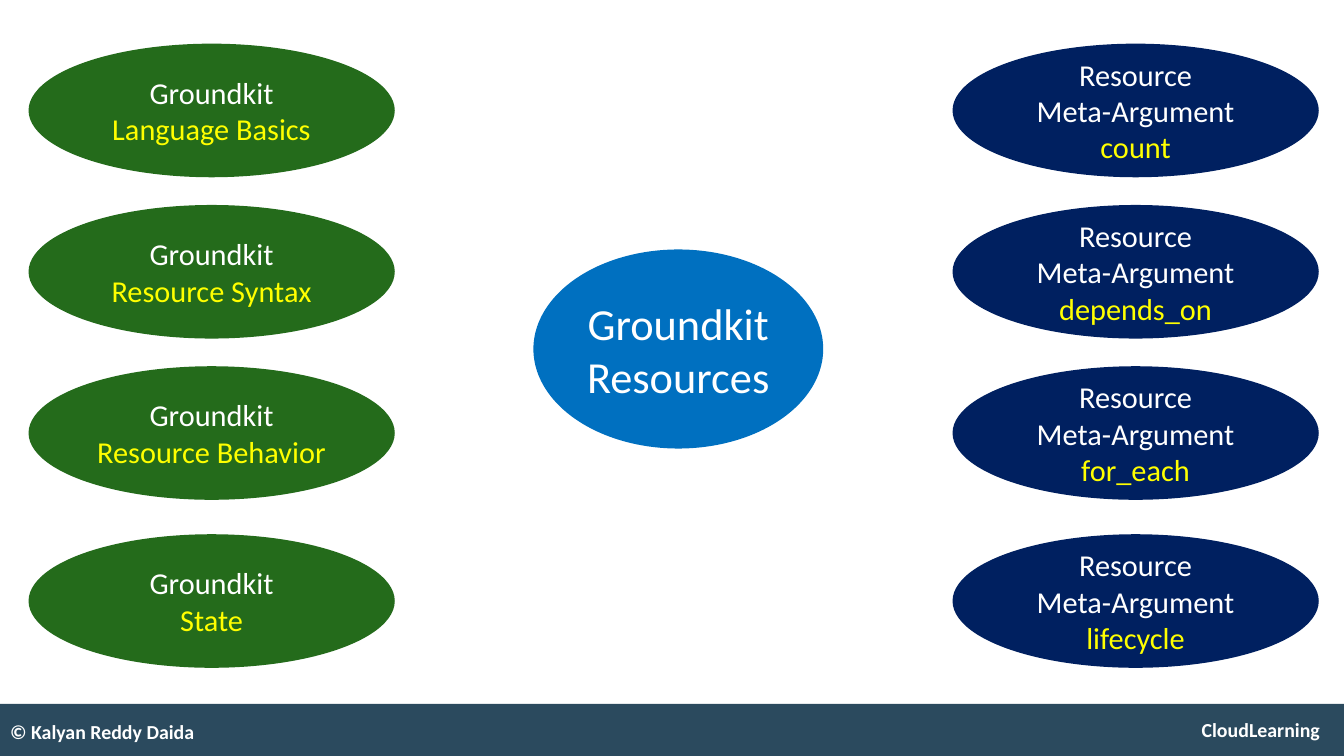
from dataclasses import dataclass

from pptx import Presentation
from pptx.dml.color import RGBColor
from pptx.enum.shapes import MSO_SHAPE
from pptx.enum.text import MSO_ANCHOR, PP_ALIGN
from pptx.util import Inches, Pt

OVAL, RECT = MSO_SHAPE.OVAL, MSO_SHAPE.RECTANGLE
MIDDLE = MSO_ANCHOR.MIDDLE
LEFT, CENTER = PP_ALIGN.LEFT, PP_ALIGN.CENTER

FONT = "Calibri"
WHITE, YELLOW = "FFFFFF", "FFFF00"
BLUE, GREEN, NAVY, SLATE = "0070C0", "246B1B", "002060", "2B4A5E"

TOOL = "Groundkit"
TOPIC_TOPS = (0.52, 2.44, 4.36, 6.36)
TOPIC_WIDTH, TOPIC_HEIGHT = 4.36, 1.59


@dataclass
class TopicColumn:
    left: float
    fill: str
    heading: list[str]
    topics: list[str]


COLUMNS = [
    TopicColumn(0.34, GREEN, [TOOL],
                ["Language Basics", "Resource Syntax", "Resource Behavior", "State"]),
    TopicColumn(11.34, NAVY, ["Resource", "Meta-Argument"],
                ["count", "depends_on", "for_each", "lifecycle"]),
]


def rgb(value: str) -> RGBColor:
    return RGBColor.from_string(value)


def add_filled(slide, kind, left: float, top: float, width: float, height: float, fill: str):
    sp = slide.shapes.add_shape(kind, Inches(left), Inches(top), Inches(width), Inches(height))
    sp.shadow.inherit = False
    sp.fill.solid()
    sp.fill.fore_color.rgb = rgb(fill)
    sp.line.fill.background()
    return sp


def write(tf, lines: list[str], *, size: float, bold: bool = False,
          align=CENTER, last_color: str = WHITE) -> None:
    """Write one paragraph per line, the last one in last_color."""
    tf.word_wrap = True
    tf.vertical_anchor = MIDDLE
    for i, line in enumerate(lines):
        p = tf.add_paragraph() if i else tf.paragraphs[0]
        p.alignment = align
        r = p.add_run()
        r.text = line
        r.font.name = FONT
        r.font.size = Pt(size)
        r.font.bold = bold
        r.font.color.rgb = rgb(last_color if i == len(lines) - 1 else WHITE)


def add_footer_text(slide, text: str, left: float, top: float, width: float, align) -> None:
    sp = slide.shapes.add_textbox(Inches(left), Inches(top), Inches(width), Inches(0.48))
    tf = sp.text_frame
    tf.margin_left = tf.margin_right = Inches(0.12)
    tf.margin_top = tf.margin_bottom = Inches(0.06)
    write(tf, [text], size=17, bold=True, align=align)


def add_column(slide, column: TopicColumn) -> None:
    for top, topic in zip(TOPIC_TOPS, column.topics):
        sp = add_filled(slide, OVAL, column.left, top, TOPIC_WIDTH, TOPIC_HEIGHT, column.fill)
        write(sp.text_frame, column.heading + [topic], size=26, last_color=YELLOW)


def main() -> None:
    prs = Presentation()
    prs.slide_width, prs.slide_height = Inches(16), Inches(9)
    slide = prs.slides.add_slide(prs.slide_layouts[6])

    add_filled(slide, RECT, 0, 8.38, 16, 0.62, SLATE)
    add_footer_text(slide, "CloudLearning", 14.06, 8.44, 1.9, CENTER)
    add_footer_text(slide, "© Kalyan Reddy Daida", 0, 8.47, 5.4, LEFT)

    hub = add_filled(slide, OVAL, 6.35, 2.97, 3.45, 2.37, BLUE)
    write(hub.text_frame, [TOOL, "Resources"], size=38)
    for column in COLUMNS:
        add_column(slide, column)

    prs.save("out.pptx")


if __name__ == "__main__":
    main()
